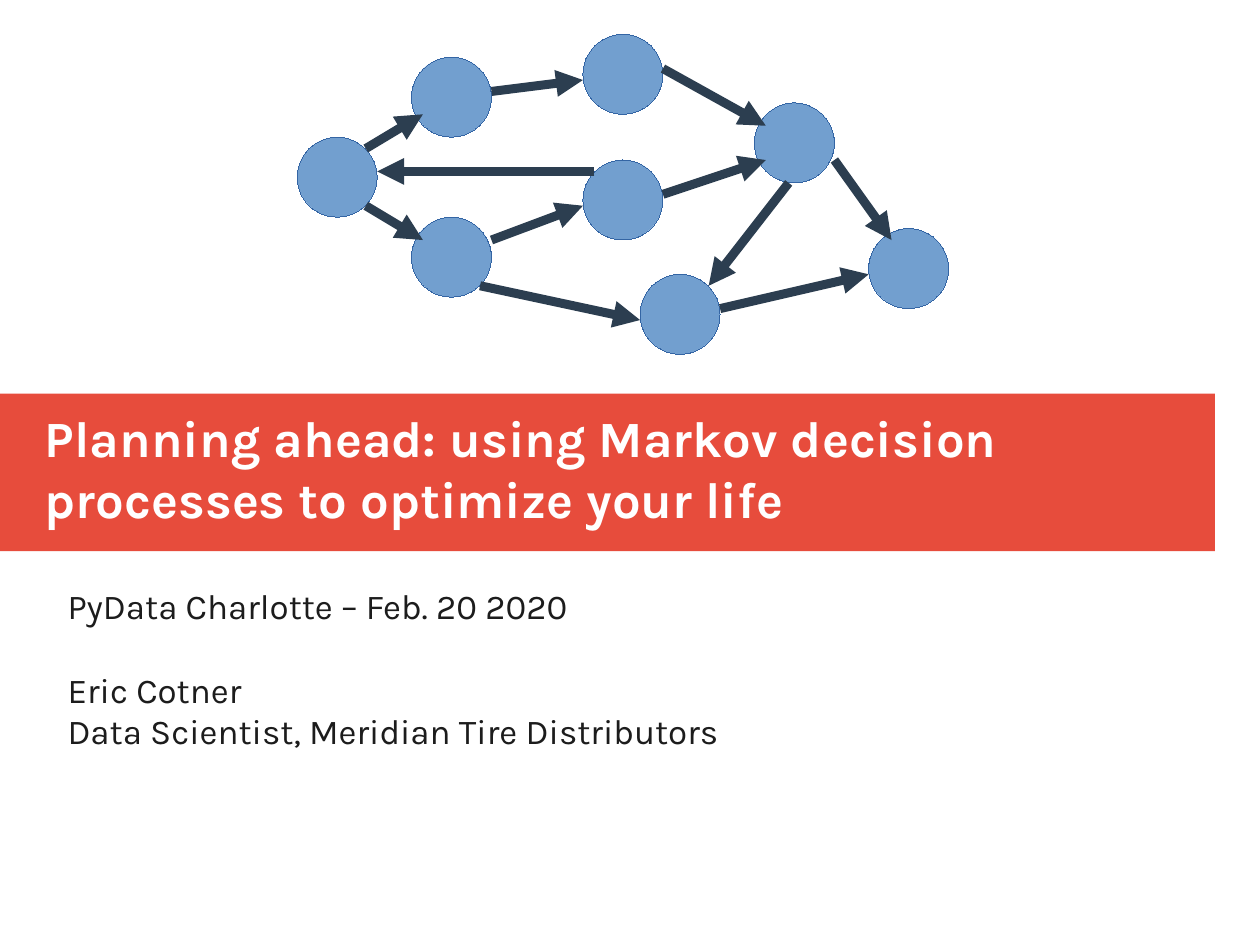
from pptx import Presentation
from pptx.dml.color import RGBColor
from pptx.enum.shapes import MSO_CONNECTOR, MSO_SHAPE
from pptx.enum.text import MSO_ANCHOR, MSO_AUTO_SIZE, PP_ALIGN
from pptx.oxml.ns import qn
from pptx.util import Pt
from lxml import etree

RECT, OVAL = MSO_SHAPE.RECTANGLE, MSO_SHAPE.OVAL
LINE = MSO_CONNECTOR.STRAIGHT
TOP, BOTTOM = MSO_ANCHOR.TOP, MSO_ANCHOR.BOTTOM
LEFT, FIXED = PP_ALIGN.LEFT, MSO_AUTO_SIZE.NONE

SCALE = 360
GRID = 254
SIZE = 7
FONT = "Karla"
COLORS = {
    "band": "E74C3C",
    "node": "729FCF",
    "rim": "3465A4",
    "arrow": "2C3E50",
    "title": "FFFFFF",
    "text": "1C1C1C",
}
NODES = [(26, 12), (36, 5), (36, 19), (51, 14),
         (56, 24), (51, 3), (66, 9), (76, 20)]
ARROWS = [
    (32, 13, 37, 10), (32, 18, 37, 21), (43, 21, 51, 18),
    (42, 25, 56, 28), (43, 8, 51, 7), (58, 6, 67, 11),
    (58, 17, 67, 14), (63, 27, 76, 24), (73, 14, 78, 21),
    (52, 15, 33, 15), (69, 16, 62, 25),
]
TITLE = [("Planning ahead: using Markov decision processes to optimize your life", 0)]
DETAILS = [
    ("PyData Charlotte – Feb. 20 2020", 0),
    ("Eric Cotner", 26),
    ("Data Scientist, Meridian Tire Distributors", 0),
]


def px(*nums):
    return [num * SCALE for num in nums]


def grid(*steps):
    return [step * GRID for step in steps]


def tint(name):
    return RGBColor.from_string(COLORS[name])


def add_form(slide, kind, box, fill, rim=None):
    form = slide.shapes.add_shape(kind, *px(*box))
    form.shadow.inherit = False
    form.fill.solid()
    form.fill.fore_color.rgb = tint(fill)
    if rim:
        form.line.color.rgb = tint(rim)
        form.line._get_or_add_ln().set("w", "0")
    else:
        form.line.fill.background()
    return form


def add_arrow(slide, ends):
    arrow = slide.shapes.add_connector(LINE, *px(*ends))
    arrow.line.color.rgb = tint("arrow")
    arrow.line.width = Pt(5.67)
    tail = etree.SubElement(arrow.line._get_or_add_ln(), qn("a:tailEnd"))
    tail.set("type", "triangle")
    etree.SubElement(arrow._element.spPr, qn("a:effectLst"))


def fill_text(holder, box, rows, size, color, anchor, bold=False):
    holder.left, holder.top, holder.width, holder.height = px(*box)
    frame = holder.text_frame
    frame.auto_size = FIXED
    frame.word_wrap = True
    frame.vertical_anchor = anchor
    frame.margin_left = frame.margin_right = 0
    frame.margin_top = frame.margin_bottom = 0
    for i, (text, gap) in enumerate(rows):
        para = frame.add_paragraph() if i else frame.paragraphs[0]
        para.alignment = LEFT
        para.space_before = Pt(gap)
        run = para.add_run()
        run.text = text
        run.font.name = FONT
        run.font.size = Pt(size)
        run.font.bold = bold
        run.font.color.rgb = tint(color)


def main():
    deck = Presentation()
    deck.slide_width, deck.slide_height = px(28000, 21000)
    slide = deck.slides.add_slide(deck.slide_layouts[0])
    band = add_form(slide, RECT, (0, 8750, 27000, 3500), "band")
    slide.shapes._spTree.insert(2, band._element)
    fill_text(slide.shapes.title, (1000, 9250, 26000, 2500), TITLE, 32, "title", BOTTOM, True)
    fill_text(slide.placeholders[1], (1500, 13000, 25500, 7000), DETAILS, 22, "text", TOP)
    for left, top in NODES:
        add_form(slide, OVAL, grid(left, top, SIZE, SIZE), "node", "rim")
    for ends in ARROWS:
        add_arrow(slide, grid(*ends))
    deck.save("out.pptx")


if __name__ == "__main__":
    main()
